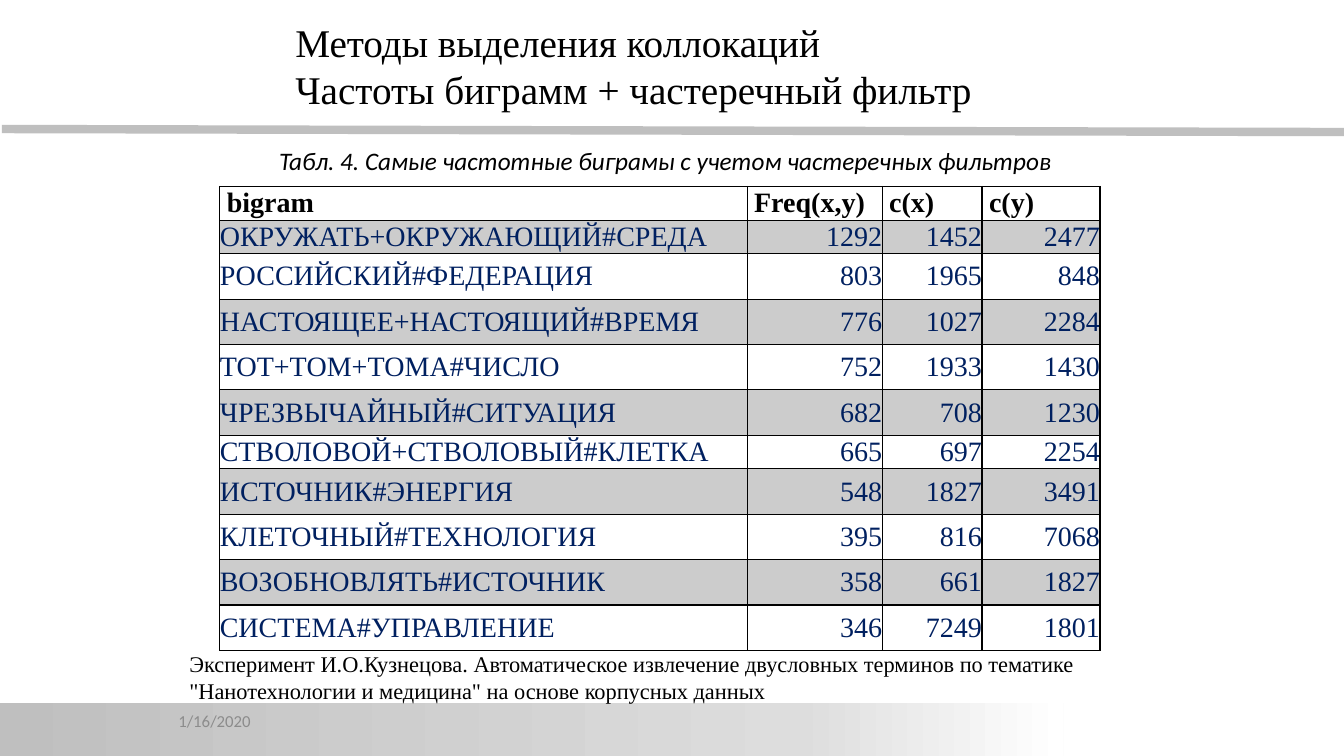
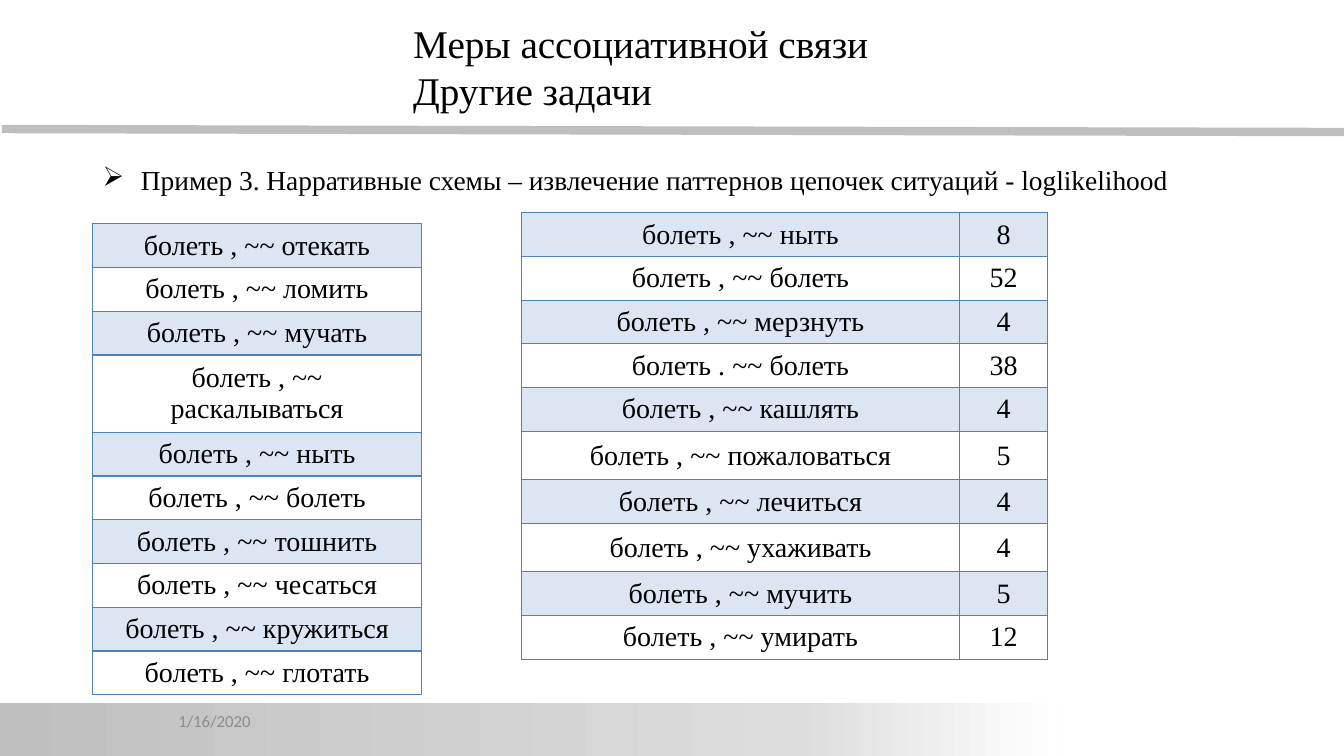
from copy import deepcopy

from lxml import etree
from pptx import Presentation
from pptx.dml.color import RGBColor
from pptx.enum.dml import MSO_FILL
from pptx.enum.shapes import MSO_CONNECTOR, MSO_SHAPE
from pptx.enum.text import MSO_ANCHOR, PP_ALIGN
from pptx.oxml.ns import qn
from pptx.util import Inches, Pt

LEFT, CENTER, RIGHT = PP_ALIGN.LEFT, PP_ALIGN.CENTER, PP_ALIGN.RIGHT
TOP, MIDDLE = MSO_ANCHOR.TOP, MSO_ANCHOR.MIDDLE
RECTANGLE, STRAIGHT = MSO_SHAPE.RECTANGLE, MSO_CONNECTOR.STRAIGHT

BLACK, NAVY, SILVER = "000000", "002060", "BFBFBF"
GREY_TINT, BLUE, BLUE_TINT = "CCCCCC", "4F81BD", "DCE6F2"
BAND_STOPS = [(0, SILVER), (0.75, "DDDDDD"), (1, "FFFFFF")]
SERIF = "Times New Roman"
TITLE = {"name": SERIF, "size": Pt(28)}
BODY = {"name": SERIF, "size": Pt(20)}
HEADER = {**BODY, "bold": True}
NOTE = {"name": SERIF, "size": Pt(16)}
CAPTION = {"name": "Calibri", "size": Pt(18), "italic": True}
DATE = {"name": "Calibri", "size": Pt(12)}

BIGRAMS = [
    ("bigram", "Freq(x,y)", "c(x)", "c(y)"),
    ("ОКРУЖАТЬ+ОКРУЖАЮЩИЙ#СРЕДА", 1292, 1452, 2477),
    ("РОССИЙСКИЙ#ФЕДЕРАЦИЯ", 803, 1965, 848),
    ("НАСТОЯЩЕЕ+НАСТОЯЩИЙ#ВРЕМЯ", 776, 1027, 2284),
    ("ТОТ+ТОМ+ТОМА#ЧИСЛО", 752, 1933, 1430),
    ("ЧРЕЗВЫЧАЙНЫЙ#СИТУАЦИЯ", 682, 708, 1230),
    ("СТВОЛОВОЙ+СТВОЛОВЫЙ#КЛЕТКА", 665, 697, 2254),
    ("ИСТОЧНИК#ЭНЕРГИЯ", 548, 1827, 3491),
    ("КЛЕТОЧНЫЙ#ТЕХНОЛОГИЯ", 395, 816, 7068),
    ("ВОЗОБНОВЛЯТЬ#ИСТОЧНИК", 358, 661, 1827),
    ("СИСТЕМА#УПРАВЛЕНИЕ", 346, 7249, 1801),
]
SYMPTOMS = [
    (f"болеть , ~~ {verb}",)
    for verb in ("отекать", "ломить", "мучать", "раскалываться", "ныть",
                 "болеть", "тошнить", "чесаться", "кружиться", "глотать")
]
CHAINS = [
    (f"болеть {mark} ~~ {verb}", count)
    for mark, verb, count in (
        (",", "ныть", 8), (",", "болеть", 52), (",", "мерзнуть", 4),
        (".", "болеть", 38), (",", "кашлять", 4), (",", "пожаловаться", 5),
        (",", "лечиться", 4), (",", "ухаживать", 4), (",", "мучить", 5),
        (",", "умирать", 12))
]


def rgb(color):
    return RGBColor.from_string(color)


def write(para, text, style, color=BLACK, align=LEFT):
    para.alignment = align
    span = para.add_run()
    span.text = text
    for name, value in style.items():
        setattr(span.font, name, value)
    span.font.color.rgb = rgb(color)


def add_text(page, area, lines, style, color=BLACK, anchor=TOP):
    """Add a wrapped text box with one paragraph per line."""
    box = page.shapes.add_textbox(*map(Inches, area))
    frame = box.text_frame
    frame.word_wrap = True
    frame.vertical_anchor = anchor
    for index, line in enumerate(lines):
        para = frame.add_paragraph() if index else frame.paragraphs[0]
        write(para, line, style, color)
    return box


def add_bullet(para, mark, indent):
    properties = para._p.get_or_add_pPr()
    properties.set("marL", str(Inches(indent)))
    properties.set("indent", str(-Inches(indent)))
    etree.SubElement(properties, qn("a:buChar"), char=mark)


def add_rule(page):
    rule = page.shapes.add_connector(
        STRAIGHT, *map(Inches, (0.02, 1.28, 13.33, 1.31)))
    rule.line.color.rgb = rgb(SILVER)
    rule.line.width = Pt(6)
    etree.SubElement(rule._element.spPr, qn("a:effectLst"))


def add_band(page):
    band = page.shapes.add_shape(
        RECTANGLE, *map(Inches, (0, 6.97, 10.55, 0.53)))
    band.shadow.inherit = False
    band.line.fill.background()
    band.fill.gradient()
    band.fill.gradient_angle = 0
    stop_list = band._element.spPr.find(f".//{qn('a:gsLst')}")
    stop_list.append(deepcopy(stop_list[-1]))
    for stop, (position, color) in zip(band.fill.gradient_stops, BAND_STOPS):
        stop.position = position
        stop.color.rgb = rgb(color)


def add_page(deck, title_area, title_lines):
    """Add a slide with the shared rule, band, date and title."""
    page = deck.slides.add_slide(deck.slide_layouts[6])
    add_rule(page)
    add_band(page)
    add_text(page, (1.67, 6.95, 2.33, 0.4), ["1/16/2020"], DATE, "8C8C8C", MIDDLE)
    add_text(page, title_area, title_lines, TITLE)
    return page


def set_borders(cell, color):
    properties = cell._tc.get_or_add_tcPr()
    for side in ("lnL", "lnR", "lnT", "lnB"):
        edge = etree.SubElement(properties, qn(f"a:{side}"), w=str(Pt(1)))
        fill = etree.SubElement(edge, qn("a:solidFill"))
        etree.SubElement(fill, qn("a:srgbClr"), val=color)


def set_margins(cell, side, edge):
    cell.margin_left = cell.margin_right = Inches(side)
    cell.margin_top = cell.margin_bottom = Inches(edge)


def add_grid(page, corner, widths, heights, rows, border):
    """Add an unstyled table and return its rows of cells with their values."""
    size = sum(widths), sum(heights)
    table = page.shapes.add_table(
        len(rows), len(widths), *map(Inches, (*corner, *size))).table
    table.first_row = table.horz_banding = False
    for column, width in zip(table.columns, widths):
        column.width = Inches(width)
    for row, height in zip(table.rows, heights):
        row.height = Inches(height)
    for row, values in zip(table.rows, rows):
        for cell in row.cells:
            set_borders(cell, border)
            cell.vertical_anchor = MIDDLE
    return [list(zip(row.cells, map(str, values)))
            for row, values in zip(table.rows, rows)]


def shade(cell, tint):
    if tint:
        cell.fill.solid()
        cell.fill.fore_color.rgb = rgb(tint)
    else:
        cell.fill.background()


def add_bigram_table(page, corner):
    heights = [0.33, 0.33, *[0.45] * 4, 0.33, *[0.45] * 4]
    grid = add_grid(page, corner, [5.23, 1.34, 0.99, 1.17], heights, BIGRAMS, BLACK)
    for number, row in enumerate(grid):
        for column, (cell, value) in enumerate(row):
            shade(cell, GREY_TINT if number % 2 else None)
            para = cell.text_frame.paragraphs[0]
            if number == 0:
                set_margins(cell, 0.07, 0)
                write(para, value, HEADER)
            else:
                set_margins(cell, 0, 0)
                write(para, value, BODY, NAVY, RIGHT if column else LEFT)


def add_pattern_table(page, corner, widths, heights, rows):
    for number, row in enumerate(
            add_grid(page, corner, widths, heights, rows, BLUE)):
        for cell, value in row:
            shade(cell, None if number % 2 else BLUE_TINT)
            write(cell.text_frame.paragraphs[0], value, BODY, align=CENTER)


def add_bigram_page(deck):
    page = add_page(deck, (2.83, 0.13, 7.88, 1.04),
                    ["Методы выделения коллокаций",
                     "Частоты биграмм + частеречный фильтр"])
    add_text(page, (2.67, 1.39, 7.93, 0.4),
             ["Табл. 4. Самые частотные биграмы с учетом частеречных фильтров"],
             CAPTION, anchor=MIDDLE)
    add_bigram_table(page, (2.18, 1.85))
    add_text(page, (1.78, 6.4, 9.14, 0.64),
             ["Эксперимент И.О.Кузнецова. Автоматическое извлечение двусловных "
              "терминов по тематике \"Нанотехнологии и медицина\" на основе "
              "корпусных данных"], NOTE)


def add_pattern_page(deck):
    page = add_page(deck, (4, 0.14, 5.83, 1.04),
                    ["Меры ассоциативной связи", "Другие задачи"])
    example = add_text(
        page, (0.92, 1.57, 11.81, 0.5),
        ["Пример 3. Нарративные схемы – извлечение паттернов цепочек ситуаций"
         " - loglikelihood"], {**BODY, "size": Pt(19.6)})
    add_bullet(example.text_frame.paragraphs[0], "➢", 0.38)
    add_pattern_table(page, (0.92, 2.22), [3.26],
                      [*[0.43] * 3, 0.76, *[0.43] * 6], SYMPTOMS)
    add_pattern_table(page, (5.17, 2.11), [4.35, 0.87],
                      [*[0.43] * 5, 0.48, 0.43, 0.48, 0.43, 0.43], CHAINS)


def main():
    deck = Presentation()
    deck.slide_width, deck.slide_height = Inches(13.33), Inches(7.5)
    add_bigram_page(deck)
    add_pattern_page(deck)
    deck.save("out.pptx")


if __name__ == "__main__":
    main()
